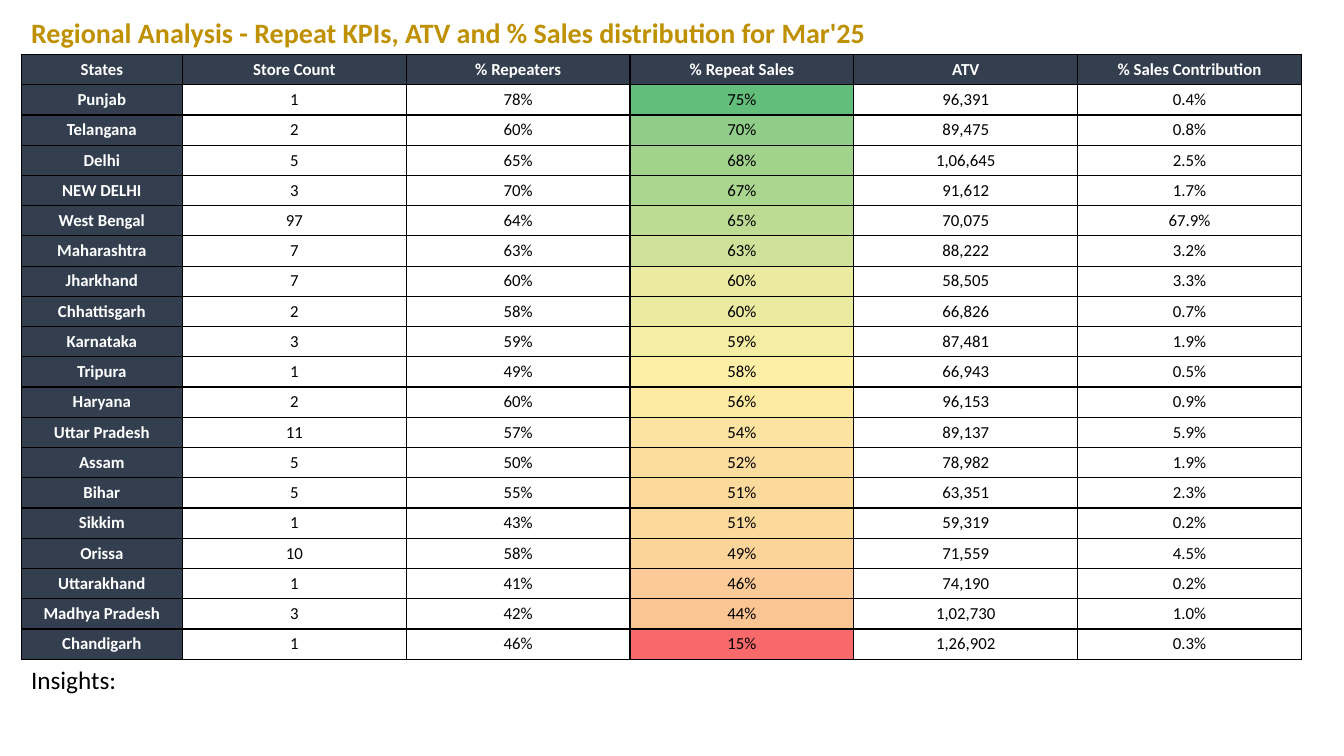
"""Build the regional repeat KPI slide with a colour-scaled table."""
import dataclasses

import lxml.etree
import pptx
import pptx.dml.color
import pptx.enum.text
import pptx.oxml.ns
import pptx.util

Inches = pptx.util.Inches
RGB = pptx.dml.color.RGBColor


@dataclasses.dataclass(frozen=True)
class Theme:
    font: str = "Calibri"
    gold: str = "BF9000"
    navy: str = "333F4F"
    black: str = "000000"
    white: str = "FFFFFF"
    high: str = "63BE7B"
    mid: str = "FDF0A6"
    low: str = "F8696B"
    title: int = 20
    note: int = 18
    cell: int = 12


theme = Theme()


def write(tf, text, size, color, bold=False, align=None):
    p = tf.paragraphs[0]
    p.alignment = align
    r = p.add_run()
    r.text = text
    r.font.name = theme.font
    r.font.size = pptx.util.Pt(size)
    r.font.bold = bold
    r.font.color.rgb = RGB.from_string(color)


def scale_color(value, low=15, mid=58, high=75):
    if value >= mid:
        start, end, share = theme.mid, theme.high, (value - mid) / (high - mid)
    else:
        start, end, share = theme.low, theme.mid, (value - low) / (mid - low)
    pairs = zip(RGB.from_string(start), RGB.from_string(end))
    return str(RGB(*(round(a + (b - a) * share) for a, b in pairs)))


headers = ["States", "Store Count", "% Repeaters", "% Repeat Sales", "ATV", "% Sales Contribution"]
regions = [
    ("Punjab", 1, 78, 75, "96,391", 0.4),
    ("Telangana", 2, 60, 70, "89,475", 0.8),
    ("Delhi", 5, 65, 68, "1,06,645", 2.5),
    ("NEW DELHI", 3, 70, 67, "91,612", 1.7),
    ("West Bengal", 97, 64, 65, "70,075", 67.9),
    ("Maharashtra", 7, 63, 63, "88,222", 3.2),
    ("Jharkhand", 7, 60, 60, "58,505", 3.3),
    ("Chhattisgarh", 2, 58, 60, "66,826", 0.7),
    ("Karnataka", 3, 59, 59, "87,481", 1.9),
    ("Tripura", 1, 49, 58, "66,943", 0.5),
    ("Haryana", 2, 60, 56, "96,153", 0.9),
    ("Uttar Pradesh", 11, 57, 54, "89,137", 5.9),
    ("Assam", 5, 50, 52, "78,982", 1.9),
    ("Bihar", 5, 55, 51, "63,351", 2.3),
    ("Sikkim", 1, 43, 51, "59,319", 0.2),
    ("Orissa", 10, 58, 49, "71,559", 4.5),
    ("Uttarakhand", 1, 41, 46, "74,190", 0.2),
    ("Madhya Pradesh", 3, 42, 44, "1,02,730", 1.0),
    ("Chandigarh", 1, 46, 15, "1,26,902", 0.3),
]
rows = [headers] + [
    [state, str(stores), f"{repeaters}%", f"{sales}%", atv, f"{share:.1f}%"]
    for state, stores, repeaters, sales, atv, share in regions
]
sales_column = headers.index("% Repeat Sales")

prs = pptx.Presentation()
prs.slide_width, prs.slide_height = Inches(13.33), Inches(7.5)
s = prs.slides.add_slide(prs.slide_layouts[6])

captions = [
    ("Insights:", 6.54, 12.92, 0.4, theme.note, theme.black, False),
    ("Regional Analysis - Repeat KPIs, ATV and % Sales distribution for Mar'25",
     0.1, 12.48, 0.44, theme.title, theme.gold, True),
]
for text, top, width, height, size, color, bold in captions:
    sp = s.shapes.add_textbox(Inches(0.21), Inches(top), Inches(width), Inches(height))
    tf = sp.text_frame
    tf.word_wrap = True
    tf.auto_size = pptx.enum.text.MSO_AUTO_SIZE.SHAPE_TO_FIT_TEXT
    write(tf, text, size, color, bold=bold)

table = s.shapes.add_table(
    len(rows), len(headers), Inches(0.21), Inches(0.54), Inches(12.7), Inches(0.3 * len(rows))
).table
table.first_row = table.horz_banding = False
for i, column in enumerate(table.columns):
    column.width = Inches(2.22 if i else 1.6)

for i, row in enumerate(rows):
    table.rows[i].height = Inches(0.3)
    for j, text in enumerate(row):
        cell = table.cell(i, j)
        heading = i == 0 or j == 0
        cell.margin_top = cell.margin_bottom = Inches(0.04)
        cell.vertical_anchor = pptx.enum.text.MSO_ANCHOR.MIDDLE
        tcPr = cell._tc.get_or_add_tcPr()
        for side in ("lnL", "lnR", "lnT", "lnB"):
            ln = lxml.etree.SubElement(tcPr, pptx.oxml.ns.qn(f"a:{side}"), w="12700")
            fill = lxml.etree.SubElement(ln, pptx.oxml.ns.qn("a:solidFill"))
            lxml.etree.SubElement(fill, pptx.oxml.ns.qn("a:srgbClr"), val=theme.black)
        if heading:
            background = theme.navy
        elif j == sales_column:
            background = scale_color(regions[i - 1][j])
        else:
            background = theme.white
        cell.fill.solid()
        cell.fill.fore_color.rgb = RGB.from_string(background)
        write(cell.text_frame, text, theme.cell, theme.white if heading else theme.black,
              bold=heading, align=pptx.enum.text.PP_ALIGN.CENTER)

prs.save("out.pptx")
